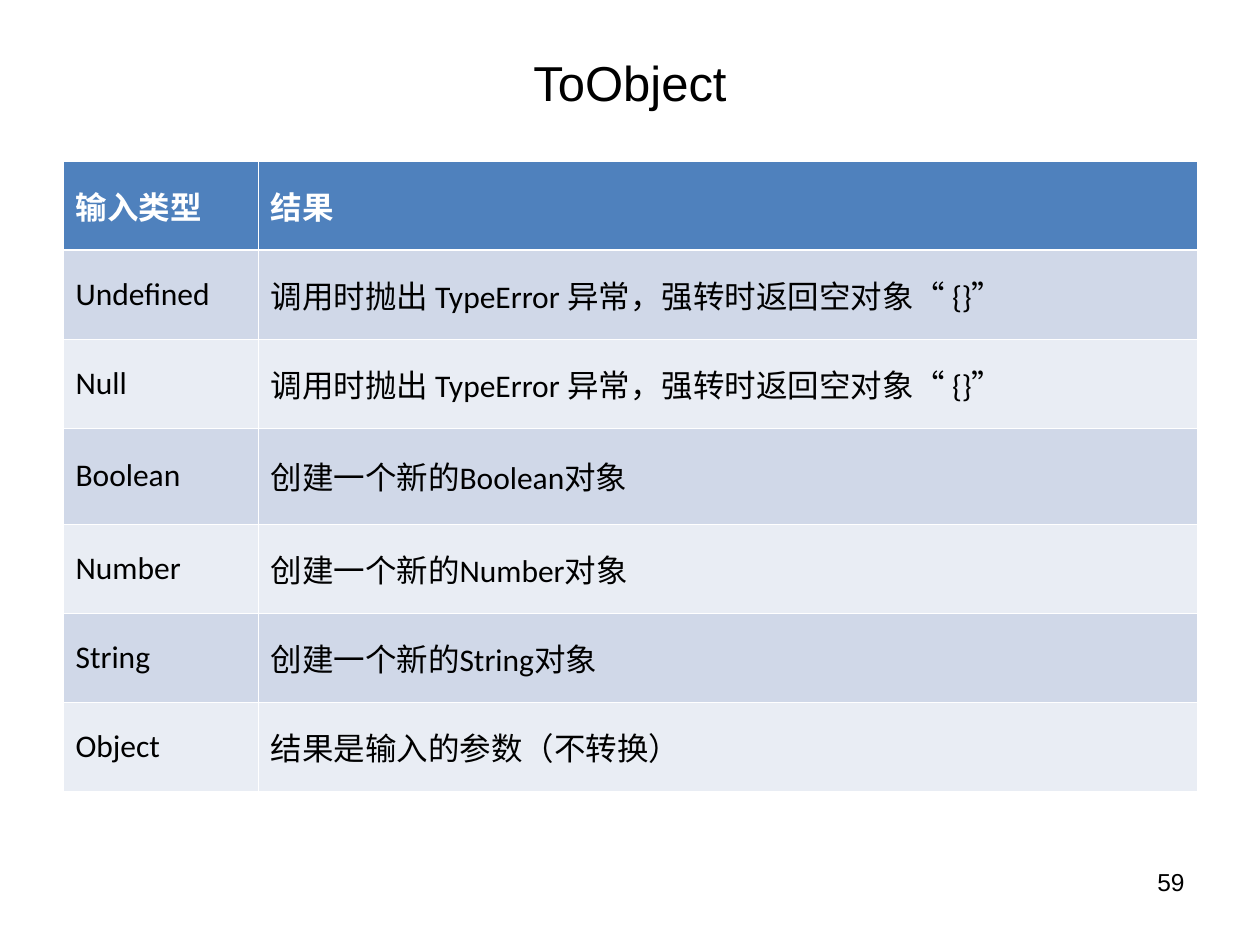
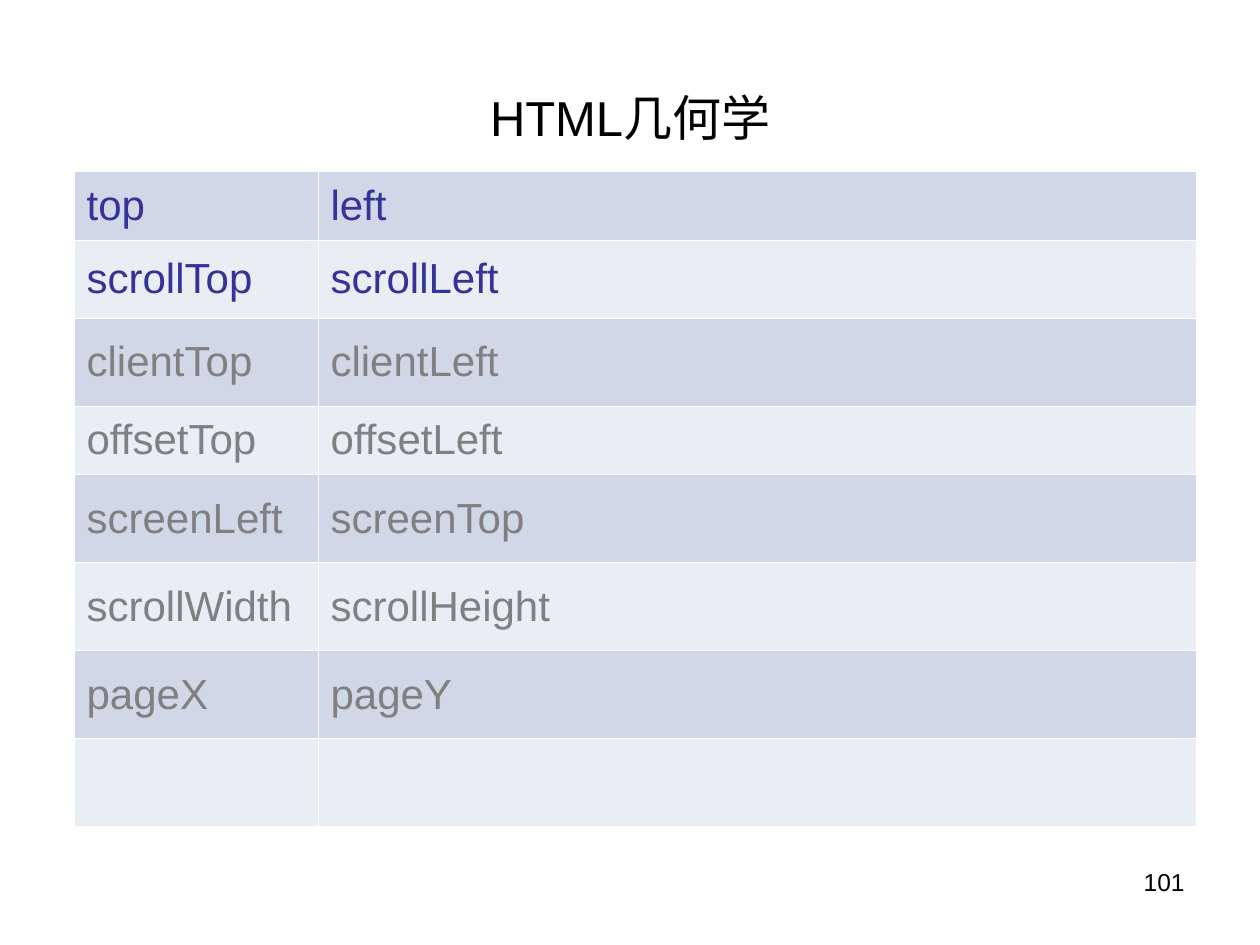
from dataclasses import dataclass
from typing import Any

from lxml.etree import SubElement
from pptx import Presentation
from pptx.dml.color import RGBColor
from pptx.enum.text import MSO_ANCHOR, MSO_AUTO_SIZE, PP_ALIGN
from pptx.oxml.ns import qn
from pptx.util import Emu, Pt

PX = 914400 / 126
COLORS = {
    "text": "000000",
    "white": "FFFFFF",
    "header": "4F81BD",
    "band_dark": "D0D8E8",
    "band_light": "E9EDF4",
    "indigo": "333399",
    "gray": "808080",
}
TITLE = {"size": Pt(28), "name": "Arial"}
NUMBER = {"size": Pt(14), "name": "Arial"}
THIN, THICK = 0.45, 1.47

Run = tuple[str, str]          # text, font name
Cell = str | list[Run]


@dataclass(frozen=True)
class Row:
    height: int
    cells: tuple[Cell, Cell]
    color: str = "text"


@dataclass(frozen=True)
class Grid:
    left: int
    top: int
    col_widths: tuple[int, int]
    rows: list[Row]
    font: dict[str, Any]
    space_before: float
    has_header: bool = False


@dataclass(frozen=True)
class Page:
    title: str
    title_height: int
    number: str
    grid: Grid


def px(n: int) -> Emu:
    return Emu(round(n * PX))


def place(sp, left: int, top: int, width: int, height: int) -> None:
    box = {"left": left, "top": top, "width": width, "height": height}
    for key, value in box.items():
        setattr(sp, key, px(value))


def add_run(p, text: str, font: dict[str, Any], color: str = "text") -> None:
    r = p.add_run()
    r.text = text
    for key, value in font.items():
        setattr(r.font, key, value)
    r.font.color.rgb = RGBColor.from_string(COLORS[color])


def set_borders(cell, top: float, bottom: float) -> None:
    tc_pr = cell._tc.get_or_add_tcPr()
    for side, width in {"L": THIN, "R": THIN, "T": top, "B": bottom}.items():
        ln = SubElement(tc_pr, qn(f"a:ln{side}"), w=str(int(Pt(width))))
        fill = SubElement(ln, qn("a:solidFill"))
        SubElement(fill, qn("a:srgbClr"), val=COLORS["white"])


def add_title(s, text: str, height: int) -> None:
    sp = s.shapes.title
    place(sp, 63, 38, 1134, height)
    tf = sp.text_frame
    tf.auto_size = MSO_AUTO_SIZE.NONE
    tf.vertical_anchor = MSO_ANCHOR.MIDDLE
    p = tf.paragraphs[0]
    p.alignment = PP_ALIGN.CENTER
    add_run(p, text, TITLE)


def add_page_number(s, number: str) -> None:
    tf = s.shapes.add_textbox(px(903), px(861), px(294), px(66)).text_frame
    tf.word_wrap = True
    p = tf.paragraphs[0]
    p.alignment = PP_ALIGN.RIGHT
    add_run(p, number, NUMBER)


def fill_cell(cell, content: Cell, grid: Grid, color: str, bold: bool) -> None:
    cell.vertical_anchor = MSO_ANCHOR.MIDDLE
    p = cell.text_frame.paragraphs[0]
    p.space_before = Pt(grid.space_before)
    runs = [(content, grid.font["name"])] if isinstance(content, str) else content
    for text, name in runs:
        if text:
            add_run(p, text, grid.font | {"name": name, "bold": bold}, color)


def add_grid(s, grid: Grid) -> None:
    width, height = sum(grid.col_widths), sum(row.height for row in grid.rows)
    table = s.shapes.add_table(len(grid.rows), len(grid.col_widths), px(grid.left),
                               px(grid.top), px(width), px(height)).table
    table.first_row = table.horz_banding = False
    for col, col_width in zip(table.columns, grid.col_widths):
        col.width = px(col_width)
    for i, row in enumerate(grid.rows):
        table.rows[i].height = px(row.height)
        is_header = grid.has_header and i == 0
        band = "band_light" if (i - grid.has_header) % 2 else "band_dark"
        top = THICK if grid.has_header and i == 1 else THIN
        for j, content in enumerate(row.cells):
            cell = table.cell(i, j)
            set_borders(cell, top, THICK if is_header else THIN)
            cell.fill.solid()
            cell.fill.fore_color.rgb = RGBColor.from_string(
                COLORS["header" if is_header else band])
            fill_cell(cell, content, grid, row.color, is_header)


THROWS: list[Run] = [
    ("调用时抛出 TypeError 异常，强转时返回空对象", "Calibri"),
    ("“ ", "Arial"),
    ("{}", "Calibri"),
    ("”", "Arial"),
]

TO_OBJECT = Grid(
    63, 161, (195, 939),
    [
        Row(89, ("输入类型", "结果"), "white"),
        Row(89, ("Undefined", THROWS)),
        Row(89, ("Null", THROWS)),
        Row(96, ("Boolean", "创建一个新的Boolean对象")),
        Row(89, ("Number", "创建一个新的Number对象")),
        Row(89, ("String", "创建一个新的String对象")),
        Row(89, ("Object", "结果是输入的参数（不转换）")),
    ],
    {"size": Pt(18), "name": "Calibri"}, 4.5, has_header=True,
)

GEOMETRY = Grid(
    74, 171, (244, 878),
    [
        Row(69, ("top", "left"), "indigo"),
        Row(78, ("scrollTop", "scrollLeft"), "indigo"),
        Row(88, ("clientTop", "clientLeft"), "gray"),
        Row(69, ("offsetTop", "offsetLeft"), "gray"),
        Row(88, ("screenLeft", "screenTop"), "gray"),
        Row(88, ("scrollWidth", "scrollHeight"), "gray"),
        Row(88, ("pageX", "pageY"), "gray"),
        Row(88, ("", "")),
    ],
    {"size": Pt(24), "name": "Arial"}, 6,
)

PAGES = [
    Page("ToObject", 87, "59", TO_OBJECT),
    Page("HTML几何学", 158, "101", GEOMETRY),
]


def main() -> None:
    prs = Presentation()
    prs.slide_width, prs.slide_height = px(1260), px(945)
    title_only = prs.slide_layouts[5]
    for page in PAGES:
        s = prs.slides.add_slide(title_only)
        add_page_number(s, page.number)
        add_title(s, page.title, page.title_height)
        add_grid(s, page.grid)
    prs.save("out.pptx")


if __name__ == "__main__":
    main()
